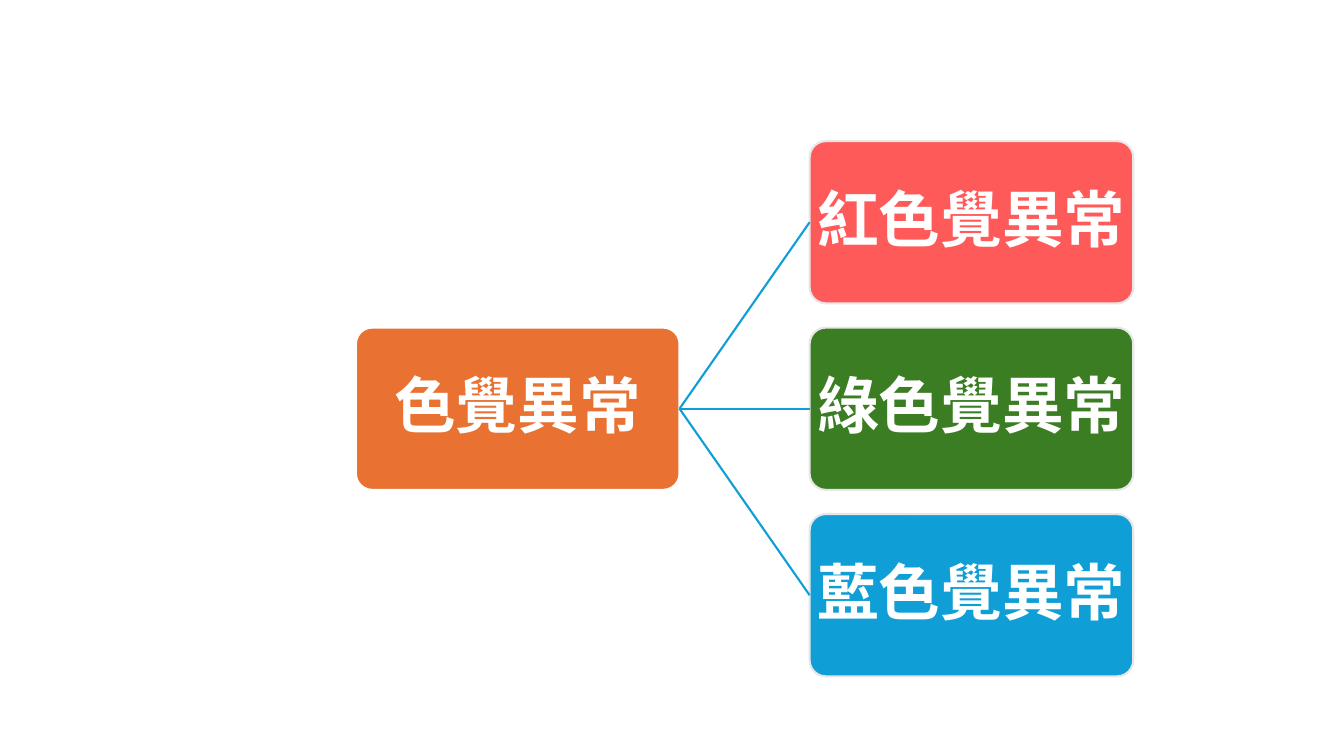
from pptx import Presentation
from pptx.dml.color import RGBColor
from pptx.enum.shapes import MSO_CONNECTOR, MSO_SHAPE
from pptx.enum.text import MSO_ANCHOR, PP_ALIGN
from pptx.oxml.ns import qn
from pptx.util import Inches, Pt
from lxml import etree

ROUND = MSO_SHAPE.ROUNDED_RECTANGLE
STRAIGHT = MSO_CONNECTOR.STRAIGHT
MIDDLE = MSO_ANCHOR.MIDDLE
CENTER = PP_ALIGN.CENTER
LEFT_SIDE, RIGHT_SIDE = 1, 3

COLORS = {
    "white": "FFFFFF",
    "edge": "E7E7E7",
    "root": "E97132",
    "red": "FF5A5A",
    "green": "3B7D23",
    "blue": "0F9ED5",
}
FONT = "Noto Sans CJK SC"

# Grid of the tree, in inches
LEFT, TOP = 3.53, 1.4
COL, ROW = 4.5, 1.85
WIDTH, HEIGHT = 3.21, 1.61


def color(name):
    return RGBColor.from_string(COLORS[name])


class Tree:
    """Draws boxes on grid cells and the lines that join them."""

    def __init__(self, slide):
        self.slide = slide
        self.size = Pt(44)
        self.stroke = Pt(1.5)

    def box(self, col, row, text, fill, edge):
        shape = self.slide.shapes.add_shape(
            ROUND, Inches(LEFT + col * COL), Inches(TOP + row * ROW),
            Inches(WIDTH), Inches(HEIGHT))
        shape.adjustments[0] = 0.1
        shape.shadow.inherit = False
        shape.fill.solid()
        shape.fill.fore_color.rgb = color(fill)
        shape.line.color.rgb = color(edge)
        shape.line.width = self.stroke
        self.label(shape.text_frame, text)
        return shape

    def label(self, frame, text):
        frame.text = text
        frame.word_wrap = False
        frame.vertical_anchor = MIDDLE
        frame.margin_left = frame.margin_right = Inches(0.03)
        frame.margin_top = frame.margin_bottom = Inches(0.03)
        para = frame.paragraphs[0]
        para.alignment = CENTER
        para.line_spacing = 0.9
        para.space_after = Pt(6)
        font = para.runs[0].font
        font.size = self.size
        font.bold = True
        font.name = FONT
        font.color.rgb = color("white")
        # East Asian typeface
        props = para.runs[0]._r.get_or_add_rPr()
        etree.SubElement(props, qn("a:ea")).set("typeface", FONT)

    def join(self, start, end):
        line = self.slide.shapes.add_connector(STRAIGHT, 0, 0, 0, 0)
        line.begin_connect(start, RIGHT_SIDE)
        line.end_connect(end, LEFT_SIDE)
        line.line.color.rgb = color("blue")
        line.line.width = self.stroke
        etree.SubElement(line._element.spPr, qn("a:effectLst"))


def main():
    deck = Presentation()
    deck.slide_width, deck.slide_height = Inches(13.33), Inches(7.5)
    tree = Tree(deck.slides.add_slide(deck.slide_layouts[6]))

    # Root in the middle row
    root = tree.box(0, 1, "色覺異常", "root", "white")

    # One branch per row
    kinds = [("紅色覺異常", "red"), ("綠色覺異常", "green"), ("藍色覺異常", "blue")]
    for row, (text, fill) in enumerate(kinds):
        tree.join(root, tree.box(1, row, text, fill, "edge"))

    deck.save("out.pptx")


if __name__ == "__main__":
    main()
